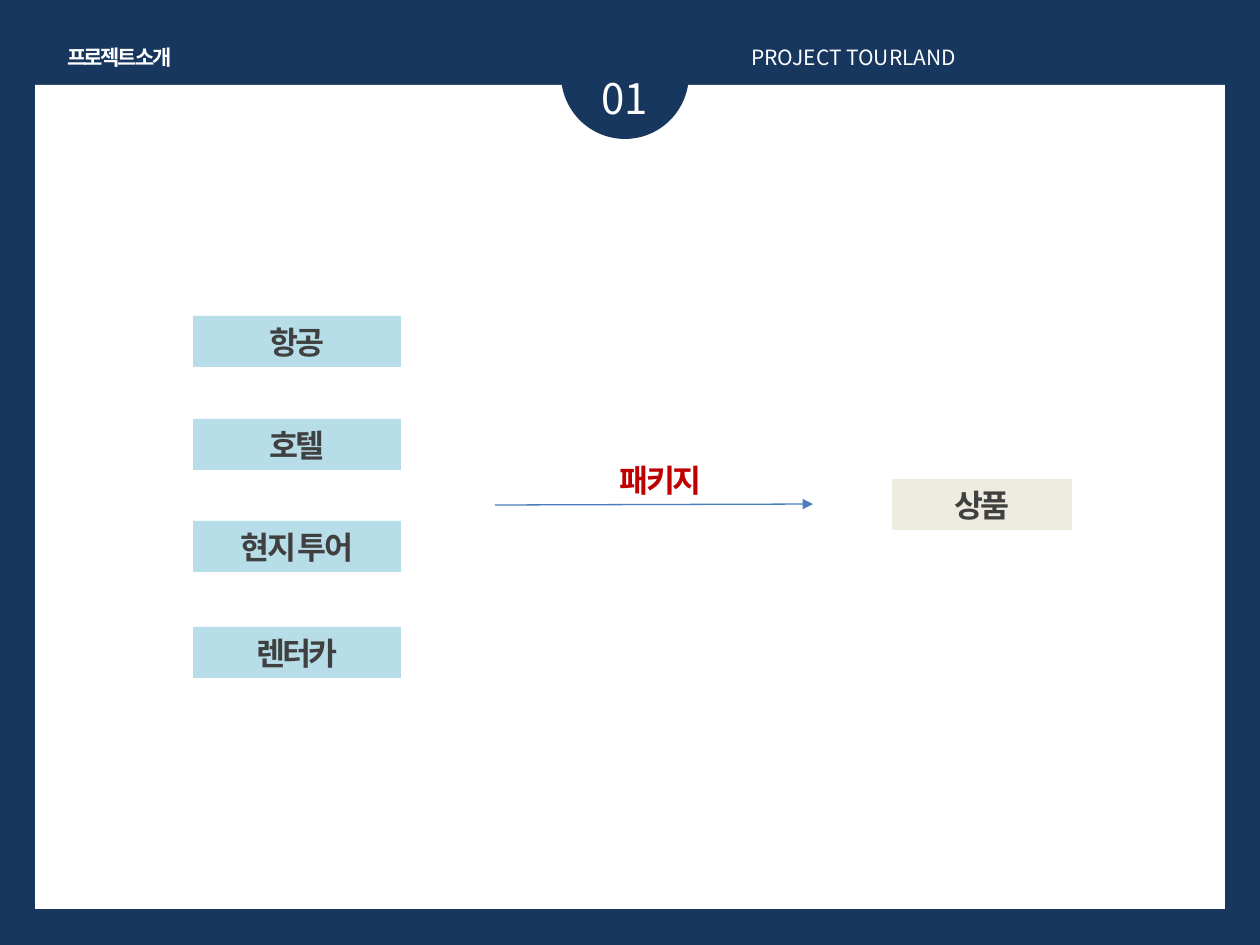
"""Build the project introduction slide: four travel services packaged into one product."""
from dataclasses import dataclass

from lxml import etree
from pptx import Presentation, util as u
from pptx.dml.color import RGBColor
from pptx.enum import shapes, text
from pptx.oxml.ns import qn

SCALE = 914400 / 126
FONT = "Noto Sans CJK KR"
COLORS = {
    "navy": "17375E", "white": "FFFFFF", "service": "B7DEE8", "product": "EEECE1",
    "ink": "404040", "accent": "C00000", "arrow": "4B7EBC",
}


@dataclass(frozen=True)
class Box:
    left: int
    top: int
    width: int
    height: int


@dataclass(frozen=True)
class Label:
    wording: str
    size: int = 18
    color: str = "ink"
    bold: bool = True
    spacing: int = -150
    align: text.PP_ALIGN = text.PP_ALIGN.CENTER
    wrap: bool = True


def px(value: int) -> u.Emu:
    return u.Emu(round(value * SCALE))


def rgb(name: str) -> RGBColor:
    return RGBColor.from_string(COLORS[name])


def place(box: Box) -> tuple[u.Emu, ...]:
    return px(box.left), px(box.top), px(box.width), px(box.height)


def write(shape, label: Label) -> None:
    frame = shape.text_frame
    frame.text = label.wording
    frame.word_wrap = label.wrap
    frame.vertical_anchor = text.MSO_ANCHOR.MIDDLE
    paragraph = frame.paragraphs[0]
    paragraph.alignment = label.align
    for run in paragraph.runs:
        run.font.size = u.Pt(label.size)
        run.font.bold = label.bold
        run.font.color.rgb = rgb(label.color)
        run.font.name = FONT
        properties = run.font._element
        properties.set("spc", str(label.spacing))
        etree.SubElement(properties, qn("a:ea")).set("typeface", FONT)


def add_panel(slide, kind: shapes.MSO_SHAPE, box: Box, fill: str):
    shape = slide.shapes.add_shape(kind, *place(box))
    shape.shadow.inherit = False
    shape.fill.solid()
    shape.fill.fore_color.rgb = rgb(fill)
    shape.line.fill.background()
    return shape


def add_label(slide, box: Box, label: Label) -> None:
    write(slide.shapes.add_textbox(*place(box)), label)


def add_arrow(slide, start: tuple[int, int], end: tuple[int, int]) -> None:
    points = [px(value) for value in (*start, *end)]
    arrow = slide.shapes.add_connector(shapes.MSO_CONNECTOR.STRAIGHT, *points)
    arrow.line.color.rgb = rgb("arrow")
    arrow.line.width = u.Pt(0.75)
    etree.SubElement(arrow.line._get_or_add_ln(), qn("a:tailEnd")).set("type", "triangle")
    etree.SubElement(arrow._element.spPr, qn("a:effectLst"))


def main() -> None:
    presentation = Presentation()
    presentation.slide_width, presentation.slide_height = px(1260), px(945)
    slide = presentation.slides.add_slide(presentation.slide_layouts[6])
    slide.background.fill.solid()
    slide.background.fill.fore_color.rgb = rgb("navy")

    rectangle = shapes.MSO_SHAPE.RECTANGLE
    add_panel(slide, rectangle, Box(35, 85, 1190, 824), "white")
    add_panel(slide, shapes.MSO_SHAPE.OVAL, Box(561, 10, 128, 129), "navy")
    add_label(slide, Box(550, 66, 149, 63), Label("01", 24, "white", False, 0))
    add_label(slide, Box(49, 38, 141, 38), Label("프로젝트 소개", 12, "white", wrap=False))
    add_label(slide, Box(739, 38, 497, 38),
              Label("PROJECT TOURLAND", 12, "white", False, 0, text.PP_ALIGN.JUSTIFY))

    services = {"항공": 316, "호텔": 419, "현지 투어": 521, "렌터카": 627}
    for name, top in services.items():
        write(add_panel(slide, rectangle, Box(193, top, 208, 51), "service"), Label(name))
    write(add_panel(slide, rectangle, Box(892, 479, 180, 51), "product"), Label("상품"))
    add_arrow(slide, (495, 505), (813, 504))
    add_label(slide, Box(529, 454, 268, 51), Label("패키지 ", color="accent"))

    presentation.save("out.pptx")


if __name__ == "__main__":
    main()
